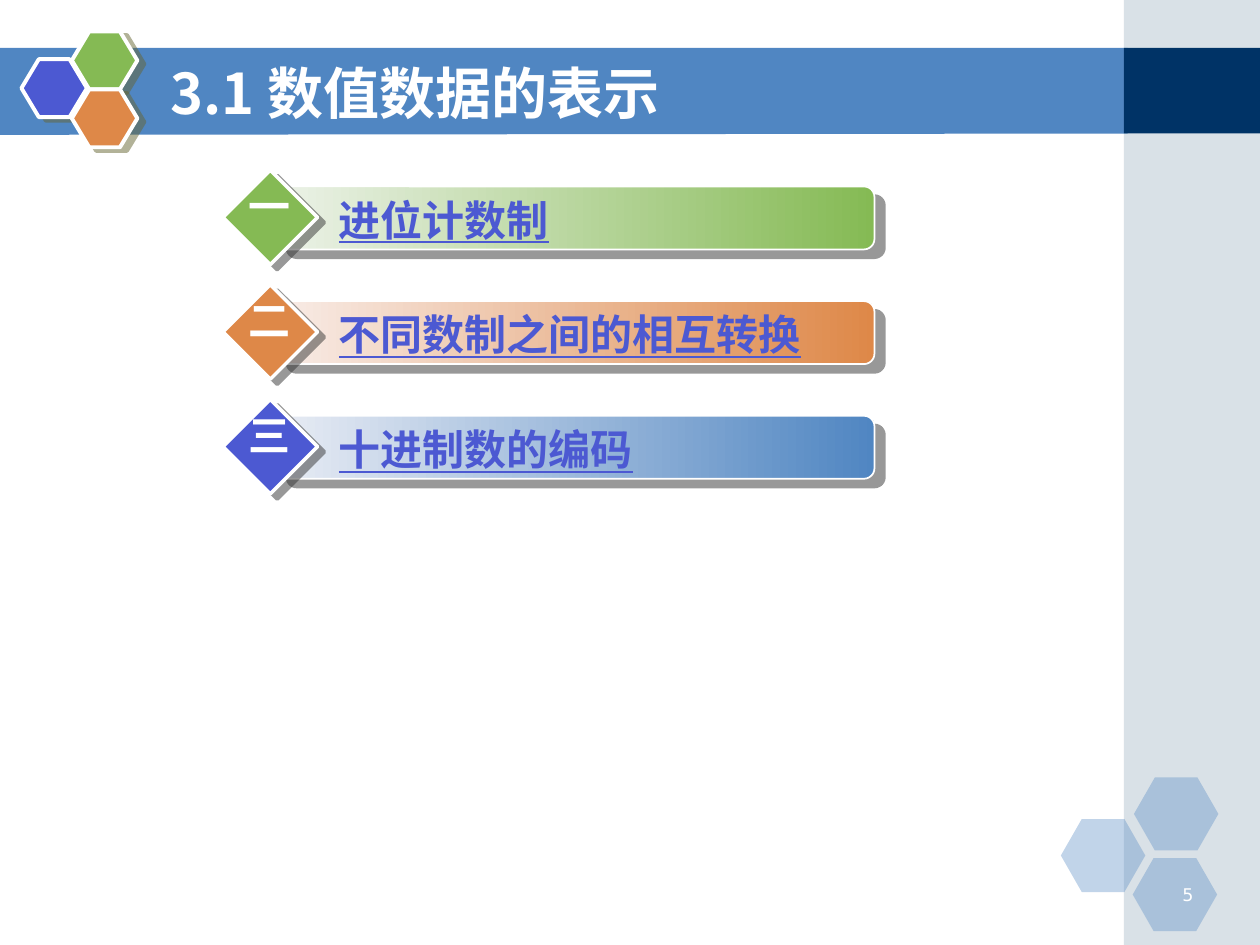
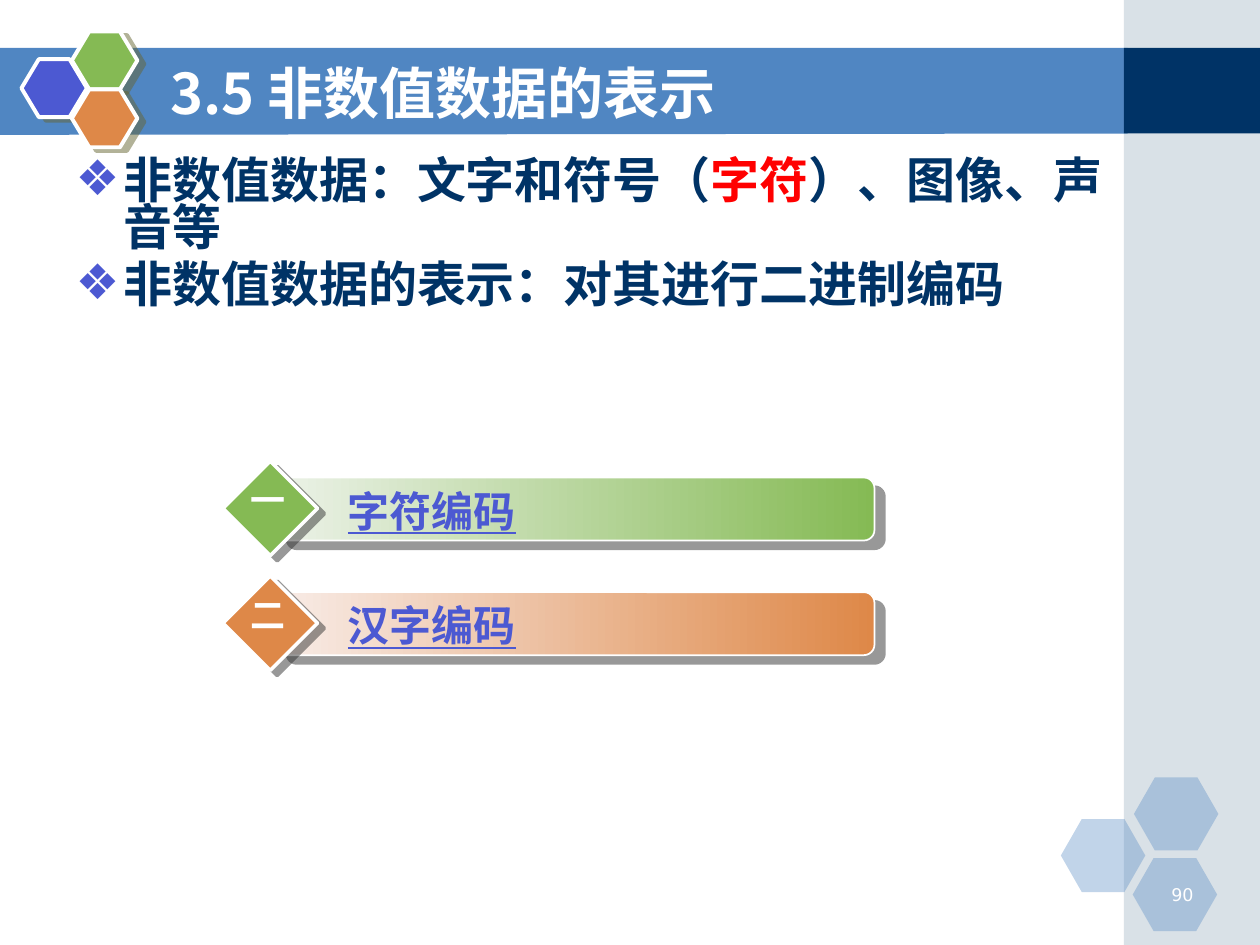
from lxml.etree import SubElement
from pptx import Presentation
from pptx.dml.color import RGBColor
from pptx.enum.shapes import MSO_SHAPE as SHAPE
from pptx.enum.text import MSO_ANCHOR as ANCHOR, MSO_AUTO_SIZE as FIT, PP_ALIGN as ALIGN
from pptx.oxml.ns import qn
from pptx.util import Inches, Pt

rgb = RGBColor.from_string
BLUE, NAVY, INDIGO = "5086C2", "003366", "4C59D2"
GREEN, ORANGE, WHITE, RED = "85BA54", "DE8848", "FFFFFF", "FF0000"
CJK = "Noto Sans CJK SC"


def paint(shape, fill, fade=None, opacity=None, line=None, shadow=None):
    shape.shadow.inherit = False
    if fade:
        shape.fill.gradient()
        shape.fill.gradient_angle = 0
        for stop, color in zip(shape.fill.gradient_stops, (fade, fill)):
            stop.color.rgb = rgb(color)
        shape.fill.gradient_stops[0].position = 0
        shape.fill.gradient_stops[1].position = 1
    else:
        shape.fill.solid()
        shape.fill.fore_color.rgb = rgb(fill)
    properties = shape._element.spPr
    if opacity:
        tint = properties.find(qn("a:solidFill"))[0]
        SubElement(tint, qn("a:alpha"), val=str(opacity * 1000))
    if line:
        shape.line.color.rgb = rgb(WHITE)
        shape.line.width = Pt(line)
    else:
        shape.line.fill.background()
    if shadow:
        color, distance, angle = shadow
        outer = SubElement(properties.find(qn("a:effectLst")), qn("a:outerShdw"),
                           dist=str(Pt(distance)), dir=str(angle * 60000),
                           algn="ctr", rotWithShape="0")
        SubElement(SubElement(outer, qn("a:srgbClr"), val=color), qn("a:alpha"), val="50000")


def write(paragraph, text, size, color, font=CJK, bold=True, underline=None):
    run = paragraph.add_run()
    run.text = text
    run.font.size = Pt(size)
    run.font.bold = bold
    run.font.underline = underline
    run.font.color.rgb = rgb(color)
    run.font.name = font
    SubElement(run._r.get_or_add_rPr(), qn("a:ea"), typeface=font)


pages = [
    {"layout": 5, "number": "5", "title": "3.1 数值数据的表示", "body": [],
     "top": 1.48, "indent": 0.25, "numeral": (24, 1.87, -0.05, 0.54, 0.5),
     "entries": [("一", "进位计数制", 3.75), ("二", "不同数制之间的相互转换", 4.3),
                 ("三", "十进制数的编码", 3.75)]},
    {"layout": 1, "number": "90", "title": "3.5 非数值数据的表示",
     "body": [[("非数值数据：文字和符号（", NAVY), ("字符", RED), ("）、图像、声音等", NAVY)],
              [("非数值数据的表示：对其进行二进制编码", NAVY)]],
     "top": 3.79, "indent": 0.32, "numeral": (20, 1.89, 0.01, 0.48, 0.43),
     "entries": [("一", "字符编码", 3.75), ("二", "汉字编码", 3.75)]},
]
entry_colors = [(GREEN, GREEN, "ECF2E8"), (ORANGE, ORANGE, "F8ECE7"), (INDIGO, BLUE, "E8ECF4")]

prs = Presentation()
prs.slide_width, prs.slide_height = Inches(10), Inches(7.5)
slides = [prs.slides.add_slide(prs.slide_layouts[page["layout"]]) for page in pages]

backdrop = slides[0].shapes.add_group_shape()
art = backdrop.shapes
outline = art.build_freeform(Inches(-0.01), Inches(0.38))
outline.add_line_segments([(Inches(x), Inches(y)) for x, y in
                           [(8.95, 0.38), (8.95, 1.06), (-0.01, 1.07)]], close=True)
paint(outline.convert_to_shape(), BLUE)
for top, height, color, opacity in [(0, 7.5, "A0B5C4", 40), (0.38, 0.68, NAVY, None)]:
    side = art.add_shape(SHAPE.RECTANGLE, Inches(8.92), Inches(top), Inches(1.08), Inches(height))
    paint(side, color, opacity=opacity)
for left, top in [(8.42, 6.5), (9, 6.17), (8.99, 6.81)]:
    cell = art.add_shape(SHAPE.HEXAGON, Inches(left), Inches(top), Inches(0.67), Inches(0.58))
    cell.adjustments[0] = 0.286
    paint(cell, BLUE, opacity=35)
for left, top, color in [(0.17, 0.47, INDIGO), (0.57, 0.25, GREEN), (0.57, 0.71, ORANGE)]:
    cell = art.add_shape(SHAPE.HEXAGON, Inches(left), Inches(top), Inches(0.52), Inches(0.46))
    cell.adjustments[0] = 0.3
    paint(cell, color, line=2.25, shadow=("666633", 4.5, 27))
for number, identity in enumerate(backdrop._element.iter(qn("p:cNvPr")), 100):
    identity.set("id", str(number))
prs.slide_master.shapes._spTree.insert(2, backdrop._element)

for slide, page in zip(slides, pages):
    folio = slide.shapes.add_textbox(Inches(9.07), Inches(6.97), Inches(0.5), Inches(0.25))
    folio.text_frame.word_wrap = True
    folio.text_frame.paragraphs[0].alignment = ALIGN.RIGHT
    write(folio.text_frame.paragraphs[0], page["number"], 10, WHITE, "DejaVu Sans", False)

    title = slide.shapes.title
    title.left, title.top, title.width, title.height = map(Inches, (1.25, 0.42, 7.33, 0.62))
    heading = title.text_frame
    heading.auto_size = FIT.NONE
    heading.vertical_anchor = ANCHOR.MIDDLE
    heading.margin_top = heading.margin_bottom = 0
    heading.paragraphs[0].alignment = ALIGN.LEFT
    write(heading.paragraphs[0], page["title"], 32, WHITE)

    if page["body"]:
        body = slide.placeholders[1]
        body.left, body.top, body.width, body.height = map(Inches, (0.5, 1.18, 8.36, 1.94))
        points = body.text_frame
        points.auto_size = FIT.NONE
        points.margin_top, points.margin_right = Inches(0.1), Inches(0.05)
        for index, pieces in enumerate(page["body"]):
            point = points.add_paragraph() if index else points.paragraphs[0]
            layout = point._p.get_or_add_pPr()
            layout.set("marL", str(Inches(0.38)))
            layout.set("indent", str(Inches(-0.38)))
            SubElement(SubElement(layout, qn("a:buClr")), qn("a:srgbClr"), val=INDIGO)
            SubElement(layout, qn("a:buChar"), char="❖")
            point.line_spacing = 0.8
            point.space_before = Pt(5.6 if index else 0)
            for text, color in pieces:
                write(point, text, 28, color)

    size, left, shift, width, height = page["numeral"]
    for row, ((numeral, topic, reach), (badge, bar, fade)) in enumerate(
            zip(page["entries"], entry_colors)):
        top = page["top"] + row * 0.91
        entry = slide.shapes.add_group_shape().shapes
        strip = entry.add_shape(SHAPE.ROUNDED_RECTANGLE, Inches(2.19), Inches(top),
                                Inches(4.75), Inches(0.5))
        paint(strip, bar, fade=fade, line=1, shadow=("333333", 7.8, 40))
        diamond = entry.add_shape(SHAPE.DIAMOND, Inches(1.77), Inches(top - 0.13),
                                  Inches(0.75), Inches(0.75))
        paint(diamond, badge, line=2, shadow=("333333", 5, 37))

        label = entry.add_textbox(Inches(2.44), Inches(top + 0.06),
                                  Inches(reach), Inches(0.5)).text_frame
        label.word_wrap = True
        label.margin_left = Inches(page["indent"])
        write(label.paragraphs[0], topic, 24, INDIGO, underline=True)
        mark = entry.add_textbox(Inches(left), Inches(top + shift),
                                 Inches(width), Inches(height)).text_frame
        mark.word_wrap = False
        mark.paragraphs[0].alignment = ALIGN.CENTER
        write(mark.paragraphs[0], numeral, size, WHITE)
        for frame in (label, mark):
            frame.auto_size = FIT.SHAPE_TO_FIT_TEXT
            frame.margin_top = frame.margin_bottom = 0

prs.save("out.pptx")
